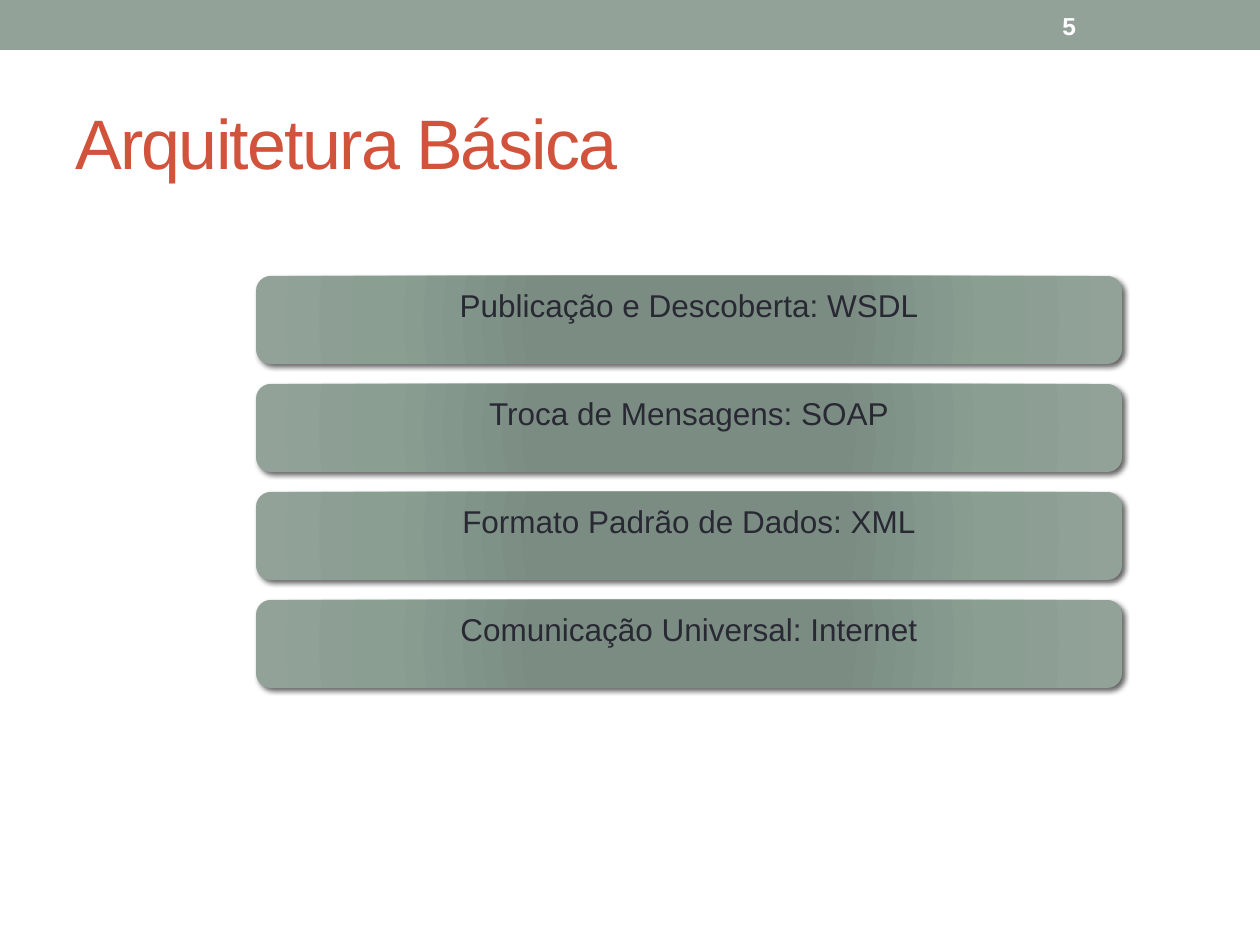
"""Build the basic architecture slide with its four stacked layers."""
from pptx import Presentation
from pptx.dml.color import RGBColor
from pptx.enum.shapes import MSO_SHAPE
from pptx.enum.text import MSO_ANCHOR, PP_ALIGN
from pptx.oxml import parse_xml
from pptx.oxml.ns import nsdecls, qn
from pptx.util import Pt

PX = 914400 // 126
SAGE = RGBColor(0x93, 0xA2, 0x99)
RUST = RGBColor(0xD2, 0x53, 0x3C)
DARK = RGBColor(0x29, 0x29, 0x34)
WHITE = RGBColor(0xFF, 0xFF, 0xFF)
STOPS = [
    (0, RGBColor(0x7B, 0x8E, 0x82)),
    (34, RGBColor(0x7B, 0x8D, 0x83)),
    (70, RGBColor(0x8A, 0x9E, 0x92)),
    (100, SAGE),
]
LAYERS = [
    "Publicação e Descoberta: WSDL",
    "Troca de Mensagens: SOAP",
    "Formato Padrão de Dados: XML",
    "Comunicação Universal: Internet",
]


def write(s, text, size, color, bold=False, align=PP_ALIGN.LEFT,
          anchor=MSO_ANCHOR.MIDDLE, spacing=0):
    tf = s.text_frame
    tf.word_wrap = True
    tf.vertical_anchor = anchor
    p = tf.paragraphs[0]
    p.alignment = align
    r = p.add_run()
    r.text = text
    r.font.name = "Arial"
    r.font.size = Pt(size)
    r.font.bold = bold
    r.font.color.rgb = color
    if spacing:
        r.font._element.set("spc", str(spacing * 100))


def add_block(shape, x, y, w, h):
    s = sp.add_shape(shape, x * PX, y * PX, w * PX, h * PX)
    s.shadow.inherit = False
    s.line.fill.background()
    return s


prs = Presentation()
prs.slide_width = 1260 * PX
prs.slide_height = 945 * PX
slide = prs.slides.add_slide(prs.slide_layouts[6])
sp = slide.shapes

band = add_block(MSO_SHAPE.RECTANGLE, 0, 0, 1260, 50)
band.fill.solid()
band.fill.fore_color.rgb = SAGE

title = sp.add_textbox(63 * PX, 73 * PX, 1134 * PX, 136 * PX)
write(title, "Arquitetura Básica", 40, RUST, spacing=-1)

stops = "".join(
    f'<a:gs pos="{pos * 1000}"><a:srgbClr val="{color}"/></a:gs>'
    for pos, color in STOPS
)
for i, layer in enumerate(LAYERS):
    s = add_block(MSO_SHAPE.ROUNDED_RECTANGLE, 256, 276 + i * 108, 866, 88)
    s.fill.background()
    props = s._element.spPr
    gradient = parse_xml(
        f'<a:gradFill {nsdecls("a")} rotWithShape="1"><a:gsLst>{stops}</a:gsLst>'
        '<a:path path="circle"><a:fillToRect l="100000" t="100000" '
        'r="100000" b="100000"/></a:path></a:gradFill>'
    )
    props.replace(props.find(qn("a:noFill")), gradient)
    shadow = parse_xml(
        f'<a:outerShdw {nsdecls("a")} blurRad="{Pt(3)}" dist="{Pt(2)}" '
        'dir="2700000" rotWithShape="0"><a:srgbClr val="000000">'
        '<a:alpha val="60000"/></a:srgbClr></a:outerShdw>'
    )
    props.find(qn("a:effectLst")).append(shadow)
    write(s, layer, 18, DARK, align=PP_ALIGN.CENTER, anchor=MSO_ANCHOR.TOP)

number = sp.add_textbox(1050 * PX, 3 * PX, 147 * PX, 45 * PX)
write(number, "5", 14, WHITE, bold=True)

prs.save("out.pptx")
